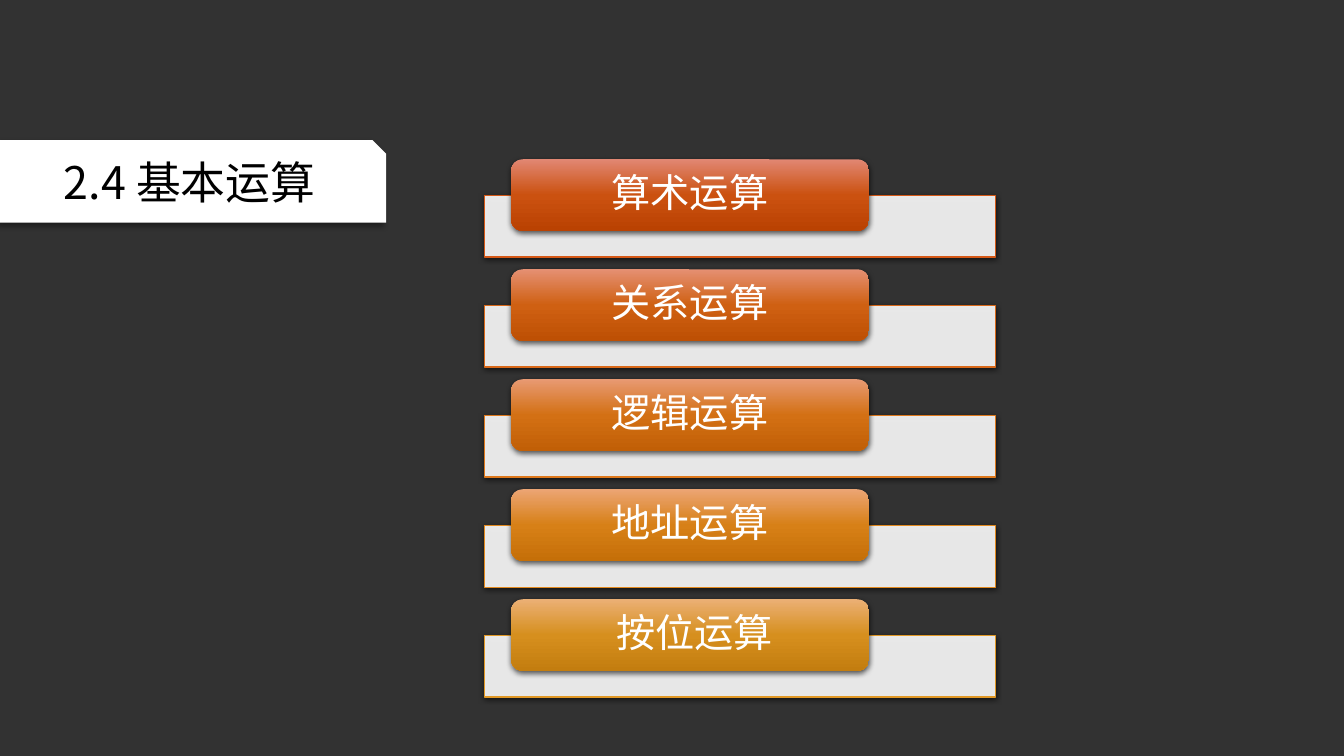
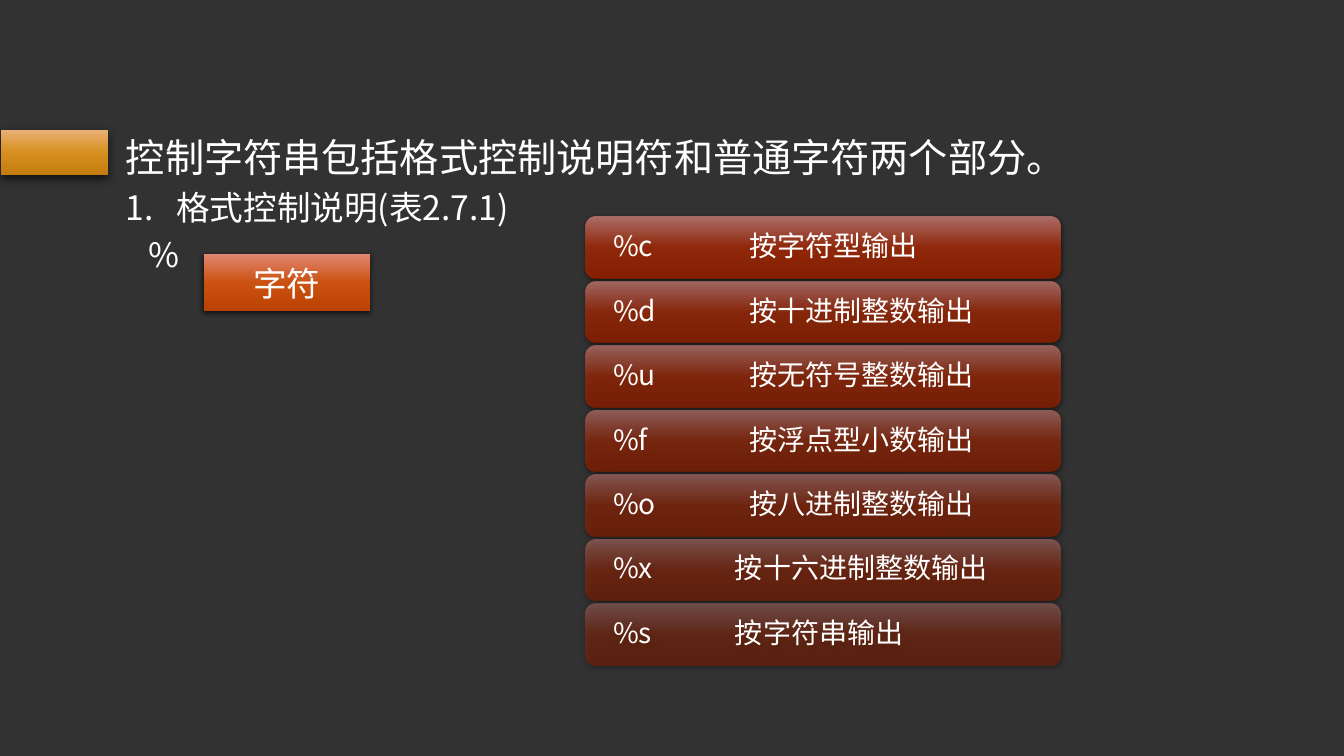
"""Builds two slides: the basic operations and the output format codes."""
from lxml import etree
from pptx import Presentation
from pptx import util as u
from pptx.dml.color import RGBColor
from pptx.enum import shapes, text
from pptx.oxml.ns import qn

FONT = "Noto Sans CJK SC"
WHITE, BLACK, DARK = "FFFFFF", "000000", "323232"
ORANGE = ("E18773", "CB5110", "BA4202")
GOLD = ("EBB075", "D68F1E", "C37D0F")
RED = ("BB7772", "9D2B0A", "902000")
SOFT = (68, 4, 1.2, 90)
W, H = u.Inches(13.33), u.Inches(7.5)
S = shapes.MSO_SHAPE
A = text.PP_ALIGN


def box(sl, kind, area, colors, alpha=100, shadow=SOFT, line=None):
    """Add a shape, its area in percent of the slide, with fill and shadow."""
    x, y, w, h = area
    sp = sl.shapes.add_shape(kind, int(W * x / 100), int(H * y / 100),
                             int(W * w / 100), int(H * h / 100))
    spPr = sp._element.spPr
    if len(colors) == 1:
        sp.fill.solid()
        sp.fill.fore_color.rgb = RGBColor.from_string(colors[0])
    else:
        sp.fill.gradient()
        sp.fill.gradient_angle = 270
        stops = spPr.find(qn("a:gradFill")).find(qn("a:gsLst"))
        for gs in list(stops):
            stops.remove(gs)
        for pos, color in zip((0, 50000, 100000), colors):
            gs = etree.SubElement(stops, qn("a:gs"), pos=str(pos))
            etree.SubElement(gs, qn("a:srgbClr"), val=color)
    if alpha < 100:
        for clr in spPr.iter(qn("a:srgbClr")):
            etree.SubElement(clr, qn("a:alpha"), val=str(alpha * 1000))
    if line:
        sp.line.color.rgb = RGBColor.from_string(line)
        sp.line.width = u.Pt(0.75)
    else:
        sp.line.fill.background()
    sp.shadow.inherit = False
    opacity, blur, dist, angle = shadow
    shd = etree.SubElement(spPr.find(qn("a:effectLst")), qn("a:outerShdw"),
                           blurRad=str(u.Pt(blur)), dist=str(u.Pt(dist)),
                           dir=str(angle * 60000), rotWithShape="0")
    clr = etree.SubElement(shd, qn("a:srgbClr"), val=BLACK)
    etree.SubElement(clr, qn("a:alpha"), val=str(opacity * 1000))
    return sp


def write(p, words, size, color=WHITE, **fmt):
    """Fill a paragraph with one run and set its paragraph format."""
    for name, value in fmt.items():
        setattr(p, name, value)
    r = p.add_run()
    r.text = words
    look = {"size": u.Pt(size), "name": FONT}
    for name, value in look.items():
        setattr(r.font, name, value)
    r.font.color.rgb = RGBColor.from_string(color)
    etree.SubElement(r._r.get_or_add_rPr(), qn("a:ea"), typeface=FONT)


prs = Presentation()
prs.slide_width, prs.slide_height = W, H
slides = []
for _ in range(2):
    sl = prs.slides.add_slide(prs.slide_layouts[6])
    sl.background.fill.solid()
    sl.background.fill.fore_color.rgb = RGBColor.from_string(DARK)
    slides.append(sl)
operations, formats = slides

rows = [
    ("算术运算", "D55816", ORANGE),
    ("关系运算", "D96818", ("E59073", "CF6012", "BE5004")),
    ("逻辑运算", "DE781B", ("E89A73", "D37014", "C15F06")),
    ("地址运算", "E2891D", ("ECA574", "D78017", "C56F08")),
    ("按位运算", "E19825", GOLD),
]
for i, (name, edge, colors) in enumerate(rows):
    dy = 14.55 * i
    box(operations, S.RECTANGLE, (36.08, 25.87 + dy, 37.96, 8.13), [WHITE], 90, line=edge)
    sp = box(operations, S.ROUNDED_RECTANGLE, (38.03, 21.07 + dy, 26.63, 9.47), colors)
    tf = sp.text_frame
    tf.margin_top = tf.margin_bottom = 0
    if i == len(rows) - 1:
        tf.margin_left = u.Inches(0.19)
    write(tf.paragraphs[0], name, 28, alignment=A.CENTER, line_spacing=0.9, space_after=u.Pt(3))

sp = box(operations, S.SNIP_1_RECTANGLE, (0, 18.53, 28.73, 10.93), [WHITE], shadow=(40, 4, 3, 135))
write(sp.text_frame.paragraphs[0], "2.4 基本运算", 32, BLACK, alignment=A.CENTER, line_spacing=0.9)

codes = [
    ("%c", "按字符型输出", 1.35),
    ("%d", "按十进制整数输出", 1.35),
    ("%u", "按无符号整数输出", 1.35),
    ("%f", "按浮点型小数输出", 1.35),
    ("%o", "按八进制整数输出", 1.35),
    ("%x", "按十六进制整数输出", 1.21),
    ("%s", "按字符串输出", 1.21),
]
for i, (code, meaning, stop) in enumerate(codes):
    sp = box(formats, S.ROUNDED_RECTANGLE, (43.59, 28.67 + 8.53 * i, 35.33, 8.13), RED,
             round(90 - 40 * i / (len(codes) - 1)))
    tf = sp.text_frame
    tf.margin_left = u.Inches(0.24)
    p = tf.paragraphs[0]
    tabs = etree.SubElement(p._p.get_or_add_pPr(), qn("a:tabLst"))
    etree.SubElement(tabs, qn("a:tab"), pos=str(u.Inches(stop)), algn="l")
    write(p, f"{code}\t{meaning}", 20, alignment=A.LEFT, line_spacing=0.9, space_after=u.Pt(3))

tf = formats.shapes.add_textbox(int(W * 0.0863), int(H * 0.1693),
                                int(W * 0.7434), int(H * 0.2373)).text_frame
tf.word_wrap = True
write(tf.paragraphs[0], "控制字符串包括格式控制说明符和普通字符两个部分。", 28)
p = tf.add_paragraph()
pPr = p._p.get_or_add_pPr()
pPr.set("marL", str(u.Inches(0.5)))
pPr.set("indent", str(u.Inches(-0.5)))
etree.SubElement(pPr, qn("a:buFont"), typeface=FONT)
etree.SubElement(pPr, qn("a:buAutoNum"), type="arabicPeriod")
write(p, "格式控制说明(表2.7.1)", 24, space_before=u.Pt(5))
p = tf.add_paragraph()
p._p.get_or_add_pPr().set("marL", str(u.Inches(0.22)))
write(p, "%", 24, space_before=u.Pt(5))

sp = box(formats, S.RECTANGLE, (15.15, 33.6, 12.38, 7.6), ORANGE)
sp.text_frame.word_wrap = False
write(sp.text_frame.paragraphs[0], "字符", 24, alignment=A.CENTER)
box(formats, S.RECTANGLE, (0.08, 17.2, 7.95, 6), GOLD, shadow=(63, 7, 2.2, 90))

prs.save("out.pptx")
